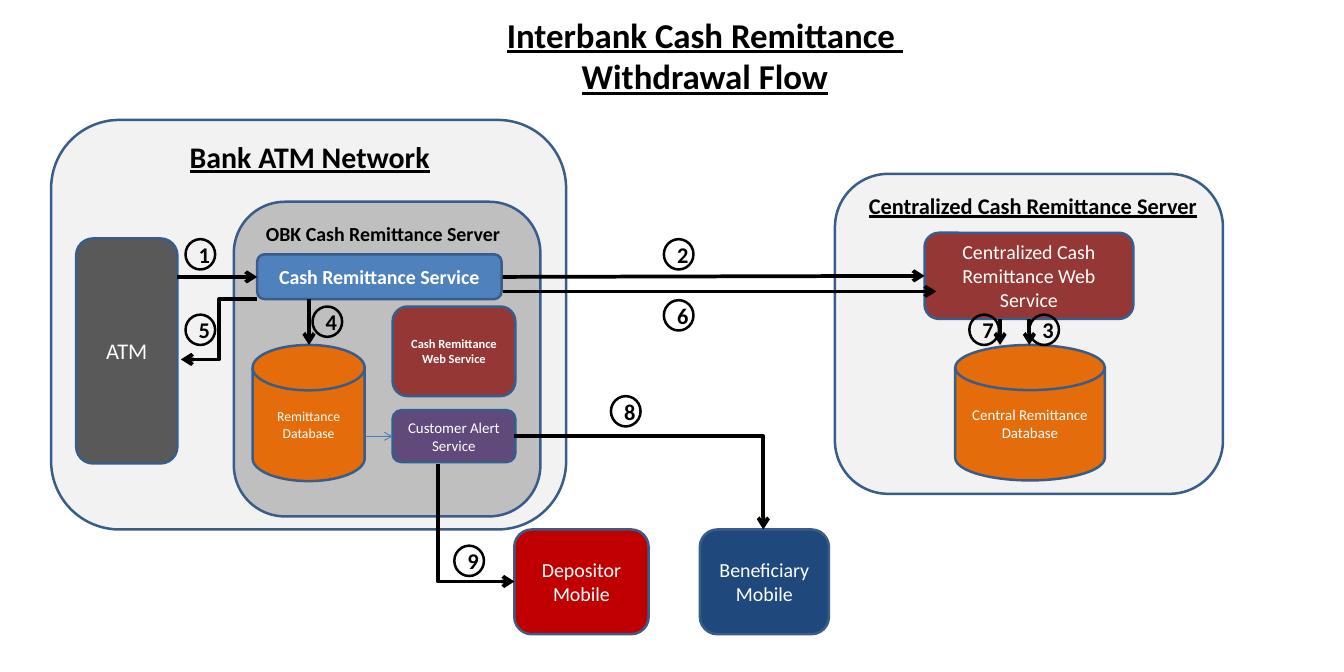
from lxml import etree
from pptx import Presentation
from pptx import util as u
from pptx.dml.color import RGBColor
from pptx.enum import shapes, text
from pptx.oxml import ns

COLORS = {
    "outline": "385D8A", "black": "000000", "white": "FFFFFF",
    "panel": "F2F2F2", "server": "BFBFBF", "atm": "595959",
    "service": "4F81BD", "database": "E46C0A", "alert": "604A7B",
    "web": "953735", "depositor": "C00000", "beneficiary": "1F497D",
    "thin": "4A7EBB",
}
ROUND = shapes.MSO_SHAPE.ROUNDED_RECTANGLE
DISK = shapes.MSO_SHAPE.FLOWCHART_MAGNETIC_DISK
OVAL = shapes.MSO_SHAPE.OVAL
STRAIGHT = shapes.MSO_CONNECTOR.STRAIGHT
ELBOW = shapes.MSO_CONNECTOR.ELBOW


def write(frame, words, size, color, bold=False, underline=False, align=text.PP_ALIGN.CENTER):
    frame.text = words
    for paragraph in frame.paragraphs:
        paragraph.alignment = align
        for run in paragraph.runs:
            run.font.name = "Calibri"
            run.font.size = u.Pt(size)
            run.font.bold = bold
            run.font.underline = underline
            run.font.color.rgb = RGBColor.from_string(COLORS[color])


def add_block(kind, box, fill, line, words="", size=18, color="white", bold=False):
    block = slide.shapes.add_shape(kind, *[u.Cm(n) for n in box])
    block.shadow.inherit = False
    if fill:
        block.fill.solid()
        block.fill.fore_color.rgb = RGBColor.from_string(COLORS[fill])
    else:
        block.fill.background()
    block.line.color.rgb = RGBColor.from_string(COLORS[line])
    block.line.width = u.Pt(2)
    if words:
        block.text_frame.word_wrap = True
        block.text_frame.vertical_anchor = text.MSO_ANCHOR.MIDDLE
        write(block.text_frame, words, size, color, bold)


prs = Presentation()
prs.slide_width, prs.slide_height = u.Cm(38.1), u.Cm(19.05)
slide = prs.slides.add_slide(prs.slide_layouts[6])

blocks = [
    (ROUND, (1.45, 3.4, 14.6, 11.61), "panel", "", 18, False),
    (ROUND, (2.16, 6.76, 2.87, 6.38), "atm", "ATM", 18, False),
    (ROUND, (6.63, 5.72, 8.69, 8.92), "server", "", 18, False),
    (ROUND, (7.29, 7.21, 6.93, 1.27), "service", "Cash Remittance Service", 16, True),
    (DISK, (7.16, 9.78, 3.18, 3.86), "database", "Remittance Database", 11, False),
    (ROUND, (11.13, 11.63, 3.48, 1.47), "alert", "Customer Alert Service", 12, False),
    (ROUND, (11.13, 8.69, 3.48, 2.54), "web", "Cash Remittance Web Service", 10, True),
    (ROUND, (23.67, 4.93, 11, 9.07), "panel", "", 18, False),
    (ROUND, (26.21, 6.6, 5.92, 2.44), "web", "Centralized Cash Remittance Web Service", 16, False),
    (DISK, (27.08, 9.78, 4.24, 3.84), "database", "Central Remittance Database", 12, False),
    (ROUND, (14.58, 15.01, 3.81, 2.97), "depositor", "Depositor Mobile", 16, False),
    (ROUND, (19.84, 15.01, 3.66, 2.97), "beneficiary", "Beneficiary Mobile", 16, False),
]
for kind, box, fill, words, size, bold in blocks:
    add_block(kind, box, fill, "outline", words, size, bold=bold)

LEFT, CENTER = text.PP_ALIGN.LEFT, text.PP_ALIGN.CENTER
headings = [
    ((14.1, 0.25, 11.76, 2.64), "Interbank Cash Remittance \nWithdrawal Flow", 28, True, CENTER),
    ((5.13, 3.81, 7.39, 1.27), "Bank ATM Network", 24, True, LEFT),
    ((7.29, 6.15, 7.14, 0.94), "OBK Cash Remittance Server", 16, False, LEFT),
    ((24.38, 5.31, 9.86, 1.02), "Centralized Cash Remittance Server", 18, True, LEFT),
]
for box, words, size, underline, align in headings:
    heading = slide.shapes.add_textbox(*[u.Cm(n) for n in box])
    heading.text_frame.word_wrap = False
    write(heading.text_frame, words, size, "black", True, underline, align)

arrows = [
    (STRAIGHT, (5.03, 7.85, 7.29, 7.85), "black", 3, None, None),
    (STRAIGHT, (14.25, 7.85, 26.21, 7.82), "black", 3, None, None),
    (STRAIGHT, (29.18, 9.04, 29.18, 9.78), "black", 3, None, None),
    (STRAIGHT, (8.76, 8.48, 8.76, 9.78), "black", 3, None, None),
    (ELBOW, (7.29, 8.48, 5.13, 10.19), "black", 3, None, None),
    (STRAIGHT, (14.27, 8.26, 26.54, 8.26), "black", 3, None, None),
    (STRAIGHT, (28.35, 9.04, 28.35, 9.78), "black", 3, None, None),
    (STRAIGHT, (10.36, 12.37, 11.13, 12.37), "thin", 0.75, None, None),
    (ELBOW, (14.58, 12.37, 21.64, 15.01), "black", 3, "bentConnector2", None),
    (ELBOW, (15.17, 13.74, 11.84, 15.9), "black", 3, "bentConnector2", 270),
]
for kind, ends, color, width, bend, turn in arrows:
    arrow = slide.shapes.add_connector(kind, *[u.Cm(n) for n in ends])
    arrow.line.color.rgb = RGBColor.from_string(COLORS[color])
    arrow.line.width = u.Pt(width)
    properties = arrow._element.spPr
    etree.SubElement(properties.find(ns.qn("a:ln")), ns.qn("a:tailEnd"), type="arrow")
    etree.SubElement(properties, ns.qn("a:effectLst"))
    if bend:
        properties.find(ns.qn("a:prstGeom")).set("prst", bend)
    if turn:
        properties.find(ns.qn("a:xfrm")).set("rot", str(turn * 60000))

steps = [
    (5.26, 6.78), (18.82, 6.78), (29.18, 8.92),
    (8.86, 8.69), (5.26, 8.92), (18.82, 8.51),
    (27.48, 8.92), (17.32, 11.23), (12.88, 15.47),
]
for number, (left, top) in enumerate(steps, 1):
    add_block(OVAL, (left, top, 0.84, 0.86), None, "black", str(number), 18, "black", True)

prs.save("out.pptx")
